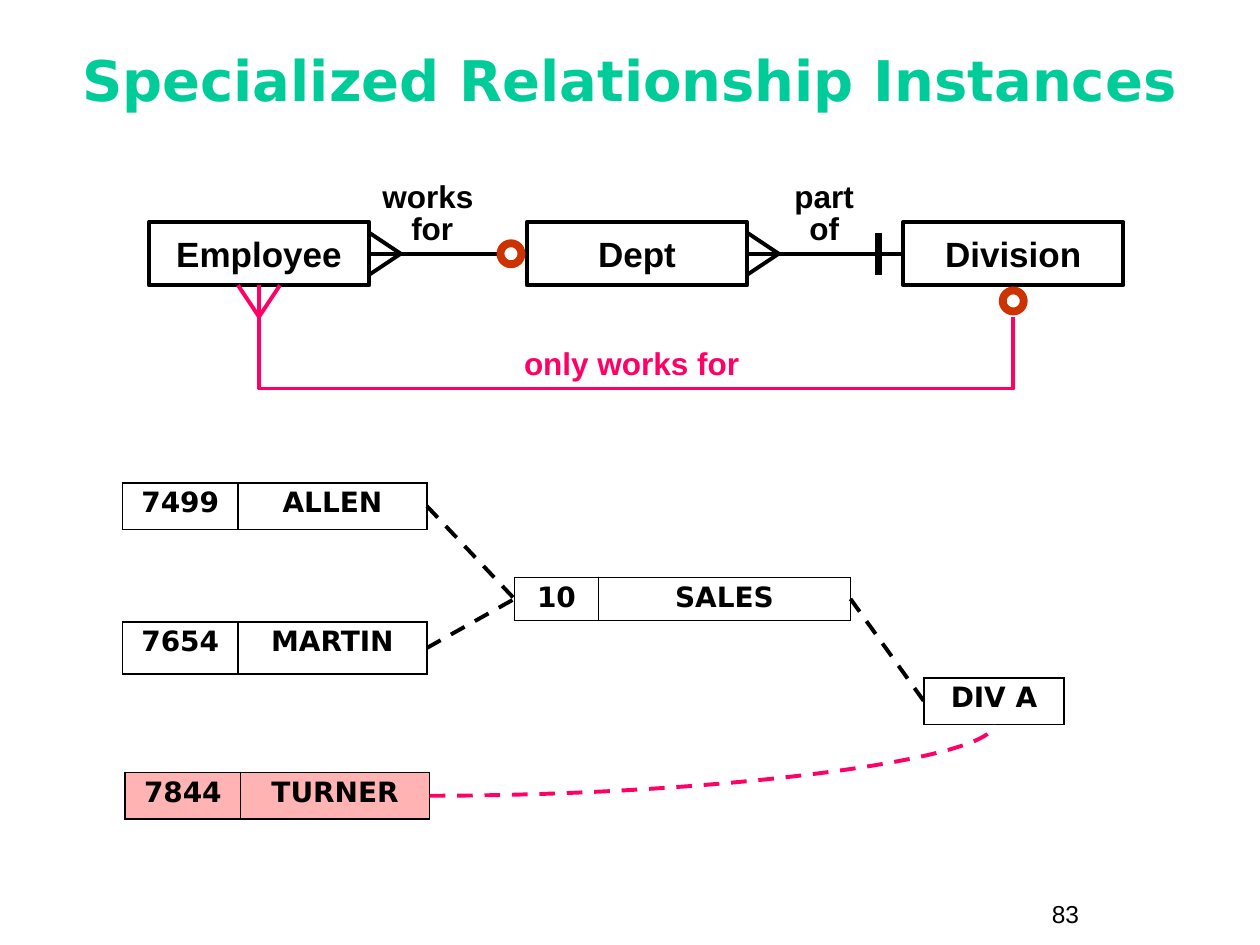
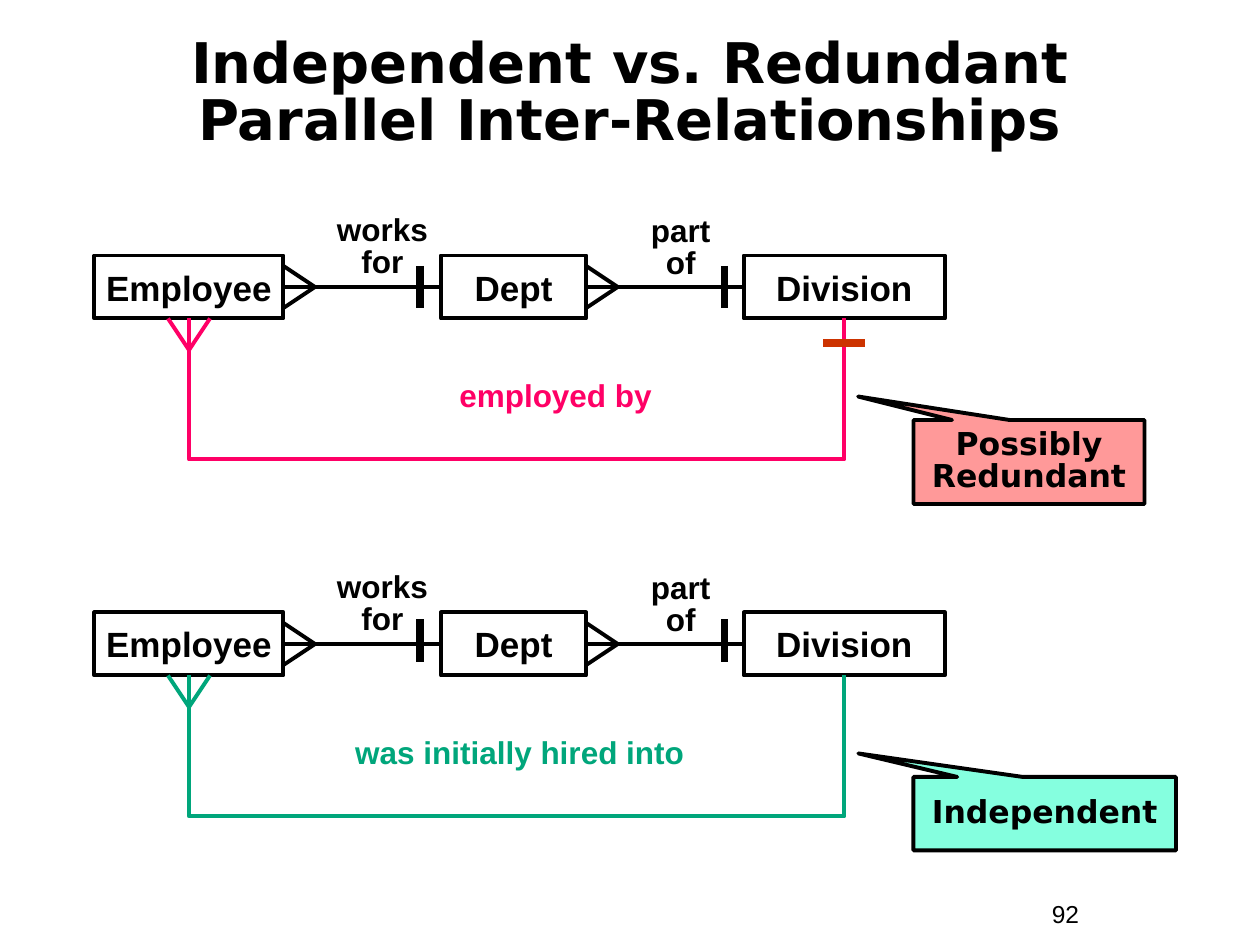
from dataclasses import dataclass

from lxml import etree
from pptx import Presentation
from pptx.dml.color import RGBColor
from pptx.enum.dml import MSO_LINE
from pptx.enum.shapes import MSO_CONNECTOR, MSO_SHAPE
from pptx.enum.text import MSO_ANCHOR, PP_ALIGN
from pptx.oxml.ns import qn
from pptx.util import Pt

STRAIGHT, CURVE = MSO_CONNECTOR.STRAIGHT, MSO_CONNECTOR.CURVE
RECTANGLE, OVAL = MSO_SHAPE.RECTANGLE, MSO_SHAPE.OVAL
CALLOUT = MSO_SHAPE.RECTANGULAR_CALLOUT
DASH = MSO_LINE.DASH
CENTER, LEFT = PP_ALIGN.CENTER, PP_ALIGN.LEFT
MIDDLE, TOP = MSO_ANCHOR.MIDDLE, MSO_ANCHOR.TOP
SITE_LEFT, SITE_RIGHT = 1, 3


@dataclass(frozen=True)
class Theme:
    black: str = "000000"
    mint: str = "00CC99"
    green: str = "00A67B"
    pink: str = "FF0066"
    rust: str = "CC3300"
    pale_pink: str = "FFB3B3"
    salmon: str = "FF9999"
    aqua: str = "85FFDF"
    body_font: str = "Arial"
    display_font: str = "DejaVu Sans"
    title_size: int = 32
    entity_size: int = 20
    label_size: int = 18
    record_size: int = 16
    page_size: int = 14
    line: float = 2.25
    heavy_line: float = 4.5
    border: float = 1.08
    foot_length: int = 18
    half_mark: int = 12
    ring: int = 12
    entity_height: int = 36


def middle_x(shape):
    return shape.left.pt + shape.width.pt / 2


def middle_y(shape):
    return shape.top.pt + shape.height.pt / 2


def right(shape):
    return shape.left.pt + shape.width.pt


def bottom(shape):
    return shape.top.pt + shape.height.pt


class Deck:
    def __init__(self, theme):
        self.theme = theme
        self.presentation = Presentation()
        self.presentation.slide_width = Pt(720)
        self.presentation.slide_height = Pt(540)
        self.shapes = None

    def start_slide(self, title, top, height, color, page, spacing=1.0):
        blank = self.presentation.slide_layouts[6]
        self.shapes = self.presentation.slides.add_slide(blank).shapes
        t = self.theme
        self.text(title, 24, top, 672, height, t.title_size, color,
                  font=t.display_font, anchor=MIDDLE, spacing=spacing)
        self.text(page, 594, 510, 66, 24.5, t.page_size, t.black,
                  align=LEFT, bold=False)

    def add_words(self, frame, content, size, color, font=None, align=CENTER,
                  bold=True, spacing=1.0):
        paragraph = frame.paragraphs[0]
        paragraph.alignment = align
        paragraph.line_spacing = spacing
        for number, line in enumerate(content.split("\n")):
            if number:
                paragraph.add_line_break()
            run = paragraph.add_run()
            run.text = line
            run.font.name = font or self.theme.body_font
            run.font.size = Pt(size)
            run.font.bold = bold
            run.font.color.rgb = RGBColor.from_string(color)

    def text(self, content, left, top, width, height, size, color,
             anchor=TOP, **style):
        box = self.shapes.add_textbox(Pt(left), Pt(top), Pt(width), Pt(height))
        box.text_frame.word_wrap = True
        box.text_frame.vertical_anchor = anchor
        self.add_words(box.text_frame, content, size, color, **style)

    def label(self, content, left, top, width=120, height=44, color=None):
        self.text(content, left, top, width, height, self.theme.label_size,
                  color or self.theme.black, spacing=0.85)

    def outline(self, shape, color, weight, fill=None):
        shape.shadow.inherit = False
        shape.line.color.rgb = RGBColor.from_string(color)
        shape.line.width = Pt(weight)
        if fill:
            shape.fill.solid()
            shape.fill.fore_color.rgb = RGBColor.from_string(fill)
        else:
            shape.fill.background()

    def preset(self, kind, left, top, width, height, color, weight, fill=None):
        shape = self.shapes.add_shape(
            kind, Pt(left), Pt(top), Pt(width), Pt(height))
        self.outline(shape, color, weight, fill)
        shape.text_frame.vertical_anchor = MIDDLE
        return shape

    def entity(self, name, left, top, width):
        t = self.theme
        shape = self.preset(RECTANGLE, left, top, width, t.entity_height,
                            t.black, t.line)
        shape.text_frame.word_wrap = False
        self.add_words(shape.text_frame, name, t.entity_size, t.black)
        return shape

    def callout(self, content, top, width, height, tip, fill, spacing):
        t = self.theme
        shape = self.preset(CALLOUT, 522, top, width, height,
                            t.black, t.line, fill)
        shape.adjustments[0], shape.adjustments[1] = tip
        shape.text_frame.word_wrap = True
        self.add_words(shape.text_frame, content, t.label_size, t.black,
                       font=t.display_font, spacing=spacing)

    def ring(self, x, y):
        t = self.theme
        self.preset(OVAL, x - t.ring / 2, y - t.ring / 2, t.ring, t.ring,
                    t.rust, t.heavy_line)

    def line(self, x1, y1, x2, y2, color=None, weight=None, dashed=False,
             kind=STRAIGHT):
        connector = self.shapes.add_connector(
            kind, Pt(x1), Pt(y1), Pt(x2), Pt(y2))
        connector.line.color.rgb = RGBColor.from_string(
            color or self.theme.black)
        connector.line.width = Pt(weight or self.theme.line)
        if dashed:
            connector.line.dash_style = DASH
        etree.SubElement(connector._element.spPr, qn("a:effectLst"))
        return connector

    def join(self, source, target):
        connector = self.line(right(source), middle_y(source),
                              target.left.pt, middle_y(target))
        connector.begin_connect(source, SITE_RIGHT)
        connector.end_connect(target, SITE_LEFT)

    def foot_right(self, entity):
        t = self.theme
        x, y = right(entity), middle_y(entity)
        for side in (-t.half_mark, t.half_mark):
            self.line(x + t.foot_length, y, x, y + side)

    def foot_down(self, entity, color):
        t = self.theme
        x, y = middle_x(entity), bottom(entity)
        for side in (-t.half_mark, t.half_mark):
            self.line(x, y + t.foot_length, x + side, y, color)

    def one_bar(self, x, y):
        half = self.theme.half_mark
        self.line(x, y - half, x, y + half, weight=self.theme.heavy_line)

    def loop(self, source, target, low, color, gap=0):
        """U-shaped line below two entities, with the crow's foot at source."""
        x1, x2 = middle_x(source), middle_x(target)
        builder = self.shapes.build_freeform(Pt(x1), Pt(bottom(source)))
        builder.add_line_segments(
            [(Pt(x1), Pt(low)), (Pt(x2), Pt(low)),
             (Pt(x2), Pt(bottom(target) + gap))], close=False)
        self.outline(builder.convert_to_shape(), color, self.theme.line)
        self.foot_down(source, color)

    def record(self, values, left, top, widths, height, fill=None):
        t = self.theme
        frame = self.shapes.add_table(1, len(values), Pt(left), Pt(top),
                                      Pt(sum(widths)), Pt(height))
        table = frame.table
        table.first_row = table.horz_banding = False
        for column, (value, width) in enumerate(zip(values, widths)):
            table.columns[column].width = Pt(width)
            cell = table.cell(0, column)
            self.add_words(cell.text_frame, value, t.record_size, t.black,
                           font=t.display_font, spacing=0.9)
            self.cell_borders(cell)
            if fill:
                cell.fill.solid()
                cell.fill.fore_color.rgb = RGBColor.from_string(fill)
            else:
                cell.fill.background()
        return frame

    def cell_borders(self, cell):
        properties = cell._tc.get_or_add_tcPr()
        for side in ("a:lnL", "a:lnR", "a:lnT", "a:lnB"):
            edge = etree.SubElement(properties, qn(side),
                                    w=str(Pt(self.theme.border)))
            paint = etree.SubElement(edge, qn("a:solidFill"))
            etree.SubElement(paint, qn("a:srgbClr"), val=self.theme.black)

    def link_records(self, source, target):
        self.line(right(source), middle_y(source),
                  target.left.pt, middle_y(target), dashed=True)

    def curve_records(self, source, target, color):
        curve = self.line(right(source), middle_y(source), middle_x(target),
                          bottom(target), color, dashed=True, kind=CURVE)
        curve._element.spPr.find(qn("a:prstGeom")).set(
            "prst", "curvedConnector2")


def specialized_instances(deck):
    t = deck.theme
    deck.start_slide("Specialized Relationship Instances", 12, 66, t.mint, "83")

    # Entities and their relationships
    employee, dept, division = [
        deck.entity(name, left, 127, 126)
        for name, left in (("Employee", 85), ("Dept", 301), ("Division", 516))]
    axis = middle_y(employee)
    optional_x = dept.left.pt - 9
    deck.line(right(employee), axis, optional_x - 8, axis)
    deck.ring(optional_x, axis)
    deck.join(dept, division)
    deck.one_bar(502, axis)
    for entity in (employee, dept):
        deck.foot_right(entity)
    deck.label("works \nfor", 187, 101)
    deck.label("part\nof", 411, 101)

    # Direct relationship
    deck.loop(employee, division, 222, t.pink, gap=18)
    deck.ring(middle_x(division), bottom(division) + 9)
    deck.label("only works for", 289, 196.5, 144, 26, t.pink)

    # Instances
    person = (66, 108)
    allen = deck.record(("7499", "ALLEN"), 70, 276, person, 26.5)
    martin = deck.record(("7654", "MARTIN"), 70, 355.5, person, 29.5)
    turner = deck.record(("7844", "TURNER"), 71.5, 441.5, person, 26.5,
                         t.pale_pink)
    sales = deck.record(("10", "SALES"), 294, 330, (48, 144), 24.5)
    div_a = deck.record(("DIV A",), 528, 387.5, (80,), 26.5)
    for source, target in ((allen, sales), (martin, sales), (sales, div_a)):
        deck.link_records(source, target)
    deck.curve_records(turner, div_a, t.pink)


def parallel_chain(deck, top, bar_y, relation, left, width, color):
    employee, dept, division = [
        deck.entity(name, x, top, w)
        for name, x, w in (("Employee", 54, 108), ("Dept", 252, 83),
                           ("Division", 425, 115))]
    for source, target in ((employee, dept), (dept, division)):
        deck.join(source, target)
        deck.foot_right(source)
    for bar_x in (240, 414):
        deck.one_bar(bar_x, bar_y)
    deck.label("works\nfor", 158.5, top - 26)
    deck.label("part\nof", 329, top - 25.5)
    deck.loop(employee, division, top + 116.5, color)
    deck.label(relation, left, top + 68.5, width, 26, color)
    return division


def independent_or_redundant(deck):
    t = deck.theme
    deck.start_slide("Independent vs. Redundant\nParallel Inter-Relationships",
                     24, 60, t.black, "92", spacing=0.85)

    # Possibly redundant relationship
    division = parallel_chain(deck, 146, 164, "employed by", 227.5, 180, t.pink)
    x, y = middle_x(division), bottom(division) + 14
    deck.line(x - t.half_mark, y, x + t.half_mark, y, t.rust, t.heavy_line)
    deck.callout("Possibly Redundant", 240, 132, 48, (-0.74, -0.78),
                 t.salmon, 0.85)

    # Independent relationship
    parallel_chain(deck, 350, 366, "was initially hired into", 192, 210, t.green)
    deck.callout("Independent", 444, 150, 42, (-0.71, -0.82), t.aqua, 0.9)


def main():
    deck = Deck(Theme())
    specialized_instances(deck)
    independent_or_redundant(deck)
    deck.presentation.save("out.pptx")


if __name__ == "__main__":
    main()
